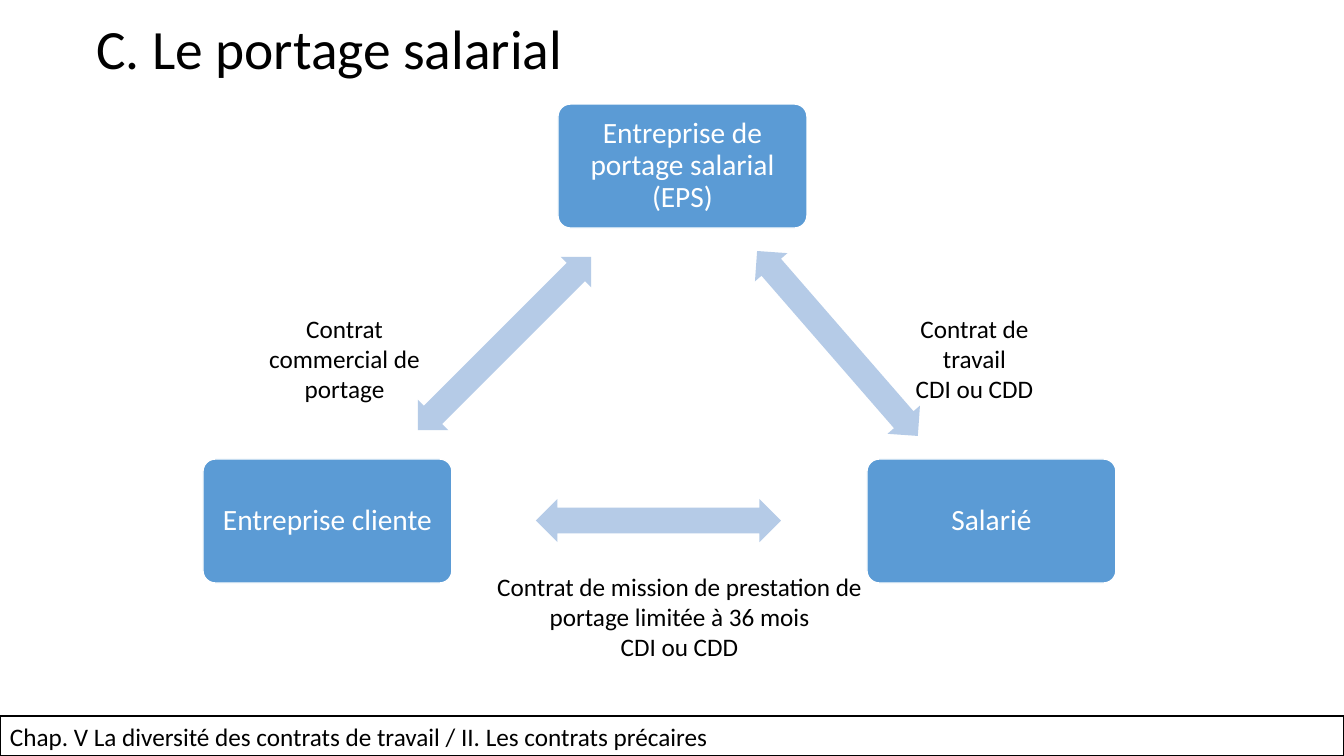
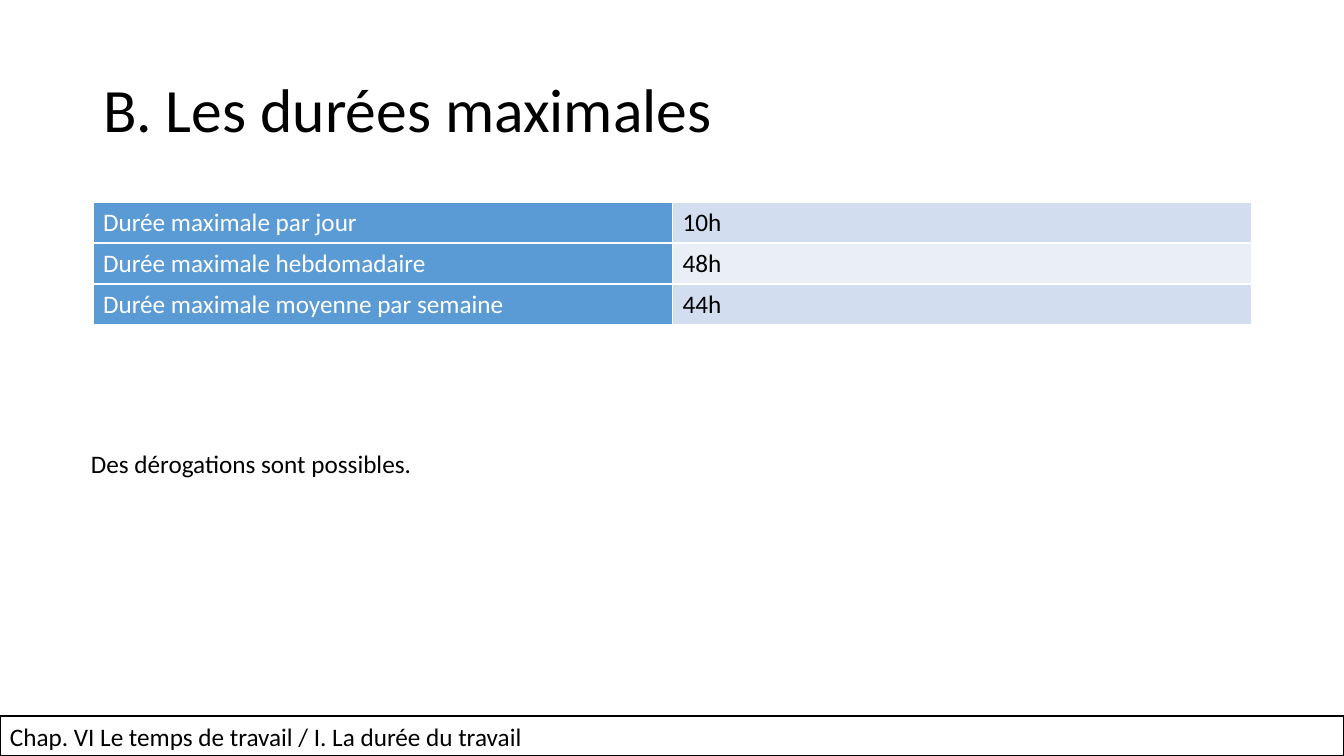
from dataclasses import dataclass

from lxml import etree
from pptx import Presentation
from pptx.dml.color import RGBColor
from pptx.enum.shapes import MSO_SHAPE
from pptx.enum.text import MSO_ANCHOR, MSO_AUTO_SIZE, PP_ALIGN
from pptx.oxml.ns import qn
from pptx.util import Pt

LEFT, CENTER = PP_ALIGN.LEFT, PP_ALIGN.CENTER
TOP, MIDDLE = MSO_ANCHOR.TOP, MSO_ANCHOR.MIDDLE
NO_AUTOFIT = MSO_AUTO_SIZE.NONE
RECTANGLE, ROUNDED = MSO_SHAPE.RECTANGLE, MSO_SHAPE.ROUNDED_RECTANGLE
DOUBLE_ARROW = MSO_SHAPE.LEFT_RIGHT_ARROW
EMU_PER_PX = 914400 / 100.8
TITLE_ONLY = 5


@dataclass(frozen=True)
class Theme:
    font: str = "Calibri"
    black: str = "000000"
    white: str = "FFFFFF"
    blue: str = "5B9BD5"
    arrow: str = "B5CBE7"
    bands: tuple = ("D2DEEF", "EAEFF7")
    body: float = 18
    actor: float = 21
    line: float = 1
    tight: float = 0.9


theme = Theme()


def px(*lengths):
    return [round(length * EMU_PER_PX) for length in lengths]


def write(frame, lines, size=theme.body, color=theme.black, align=LEFT, anchor=TOP, spacing=1.0):
    frame.word_wrap = True
    frame.auto_size = NO_AUTOFIT
    frame.vertical_anchor = anchor
    for index, line in enumerate(lines):
        para = frame.paragraphs[0] if index == 0 else frame.add_paragraph()
        para.alignment = align
        para.line_spacing = spacing
        span = para.add_run()
        span.text = line
        span.font.name = theme.font
        span.font.size = Pt(size)
        span.font.color.rgb = RGBColor.from_string(color)


deck = Presentation()
deck.slide_width, deck.slide_height = px(1344, 756)

outline = [
    ("C. Le portage salarial", 39.6, (86, 15, 1159, 74),
     "Chap. V La diversité des contrats de travail / II. Les contrats précaires"),
    ("B. Les durées maximales", 44, (93, 40, 1159, 146),
     "Chap. VI Le temps de travail / I. La durée du travail"),
]
pages = []
for heading, size, area, chapter in outline:
    page = deck.slides.add_slide(deck.slide_layouts[TITLE_ONLY])
    title = page.shapes.title
    title.left, title.top, title.width, title.height = px(*area)
    write(title.text_frame, [heading], size, anchor=MIDDLE, spacing=theme.tight)
    footer = page.shapes.add_shape(RECTANGLE, *px(0, 716, 1344, 40))
    footer.shadow.inherit = False
    footer.fill.solid()
    footer.fill.fore_color.rgb = RGBColor.from_string(theme.white)
    footer.line.color.rgb = RGBColor.from_string(theme.black)
    footer.line.width = Pt(theme.line)
    write(footer.text_frame, [chapter])
    pages.append(page)

triangle_page, hours_page = pages

actors = [
    ("Entreprise de portage salarial (EPS)", 558, 104),
    ("Salarié", 867, 459),
    ("Entreprise cliente", 203, 459),
]
for name, left, top in actors:
    box = triangle_page.shapes.add_shape(ROUNDED, *px(left, top, 249, 124))
    box.adjustments[0] = 0.1
    box.shadow.inherit = False
    box.fill.solid()
    box.fill.fore_color.rgb = RGBColor.from_string(theme.blue)
    box.line.color.rgb = RGBColor.from_string(theme.white)
    box.line.width = Pt(theme.line)
    frame = box.text_frame
    frame.margin_left, frame.margin_right = px(13, 13)
    write(frame, [name], theme.actor, theme.white, CENTER, MIDDLE, theme.tight)

for left, top, angle in [(715, 322, 49), (536, 499, 180), (382, 322, 315)]:
    arrow = triangle_page.shapes.add_shape(DOUBLE_ARROW, *px(left, top, 245, 43))
    arrow.adjustments[0] = 0.6
    arrow.adjustments[1] = 0.5
    arrow.rotation = angle
    arrow.shadow.inherit = False
    arrow.fill.solid()
    arrow.fill.fore_color.rgb = RGBColor.from_string(theme.arrow)
    arrow.line.fill.background()

contracts = [
    (["Contrat de travail", "CDI ou CDD"], 883, 308, 183),
    (["Contrat commercial de portage"], 253, 308, 183),
    (["Contrat de mission de prestation de portage limitée à 36 mois", "CDI ou CDD"], 459, 566, 441),
]
for lines, left, top, width in contracts:
    label = triangle_page.shapes.add_textbox(*px(left, top, width, 102))
    write(label.text_frame, lines, align=CENTER)

limits = [
    ("Durée maximale par jour", "10h"),
    ("Durée maximale hebdomadaire", "48h"),
    ("Durée maximale moyenne par semaine", "44h"),
]
table = hours_page.shapes.add_table(len(limits), 2, *px(93, 202, 1159, 123)).table
table.first_row = False
table.horz_banding = False
for row, limit in enumerate(limits):
    fills = (theme.blue, theme.bands[row % 2])
    for column, color in enumerate((theme.white, theme.black)):
        cell = table.cell(row, column)
        write(cell.text_frame, [limit[column]], color=color)
        properties = cell._tc.get_or_add_tcPr()
        for side in ("a:lnL", "a:lnR", "a:lnT", "a:lnB"):
            border = etree.SubElement(properties, qn(side), w=str(Pt(theme.line)))
            solid = etree.SubElement(border, qn("a:solidFill"))
            etree.SubElement(solid, qn("a:srgbClr"), val=theme.white)
        cell.fill.solid()
        cell.fill.fore_color.rgb = RGBColor.from_string(fills[column])

remark = hours_page.shapes.add_textbox(*px(81, 443, 781, 40))
write(remark.text_frame, ["Des dérogations sont possibles."])

deck.save("out.pptx")
